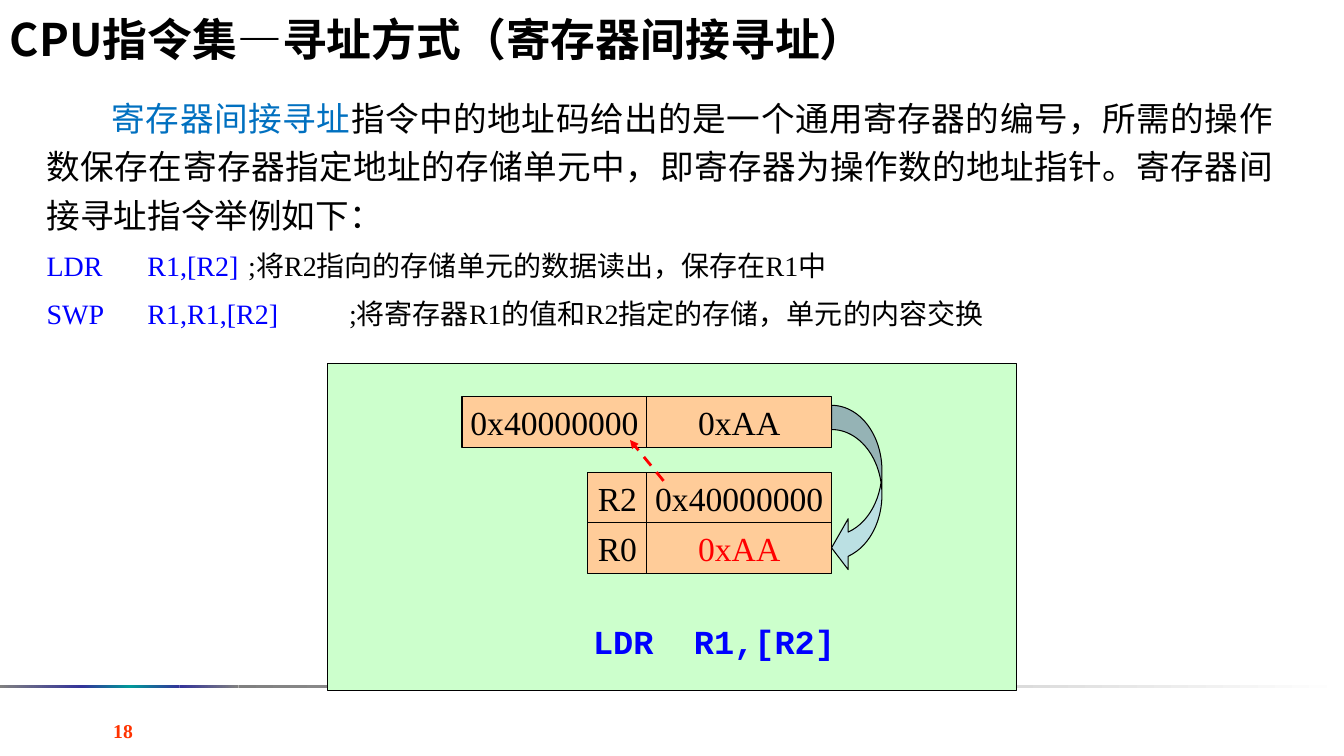
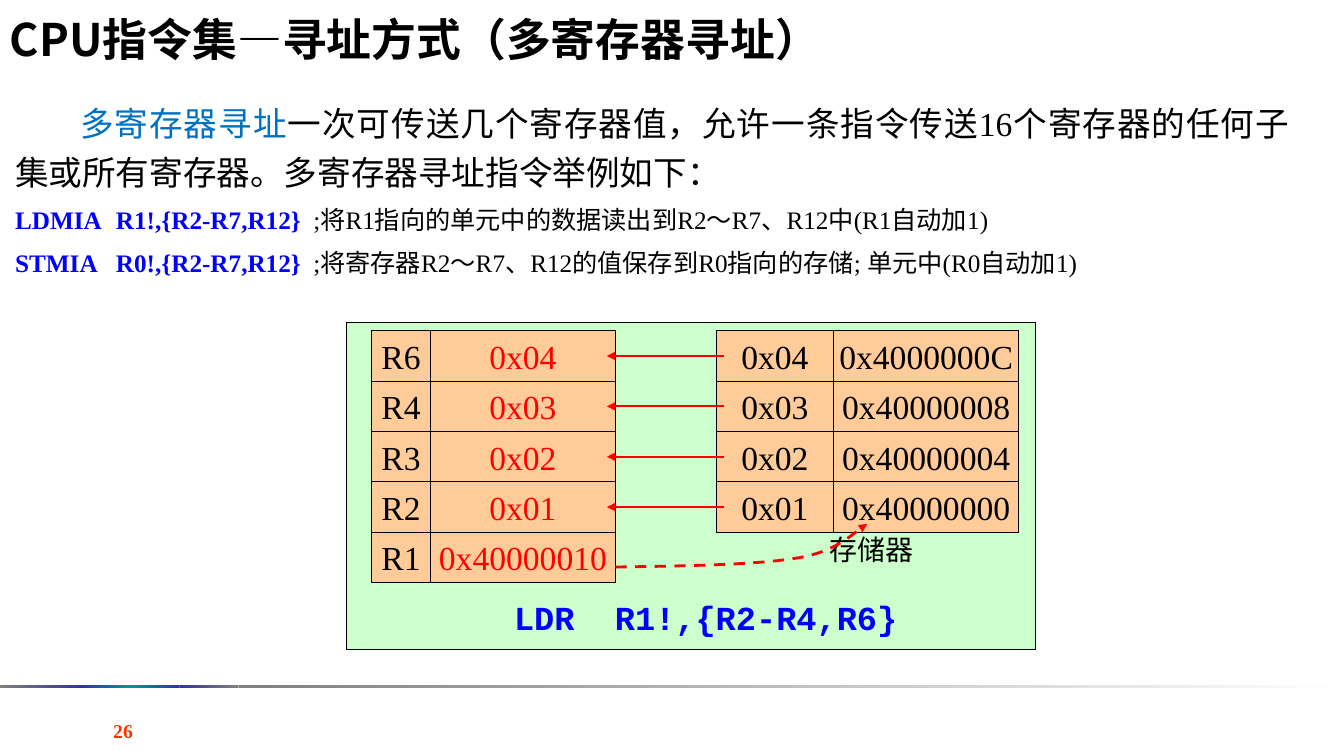
"""Build two slides on processor addressing modes."""
from lxml import etree
from pptx import Presentation
from pptx.dml.color import RGBColor
from pptx.enum.dml import MSO_LINE
from pptx.enum.shapes import MSO_CONNECTOR, MSO_SHAPE
from pptx.enum.text import MSO_ANCHOR, PP_ALIGN
from pptx.oxml.ns import qn
from pptx.util import Pt

PX = 9525
STRAIGHT = MSO_CONNECTOR.STRAIGHT
RECTANGLE = MSO_SHAPE.RECTANGLE
CURVED_ARROW = MSO_SHAPE.CURVED_LEFT_ARROW
DASH = MSO_LINE.DASH
MIDDLE = MSO_ANCHOR.MIDDLE
LEFT, CENTER, RIGHT, JUSTIFY = PP_ALIGN.LEFT, PP_ALIGN.CENTER, PP_ALIGN.RIGHT, PP_ALIGN.JUSTIFY
SERIF, MONO, SANS = "Times New Roman", "Courier New", "Noto Sans CJK SC"

BLACK = RGBColor(0x00, 0x00, 0x00)
WHITE = RGBColor(0xFF, 0xFF, 0xFF)
GRAY = RGBColor(0x80, 0x80, 0x80)
INDIGO = RGBColor(0x33, 0x33, 0x99)
TEAL = RGBColor(0x00, 0x99, 0x99)
TERM_BLUE = RGBColor(0x00, 0x70, 0xC0)
CODE_BLUE = RGBColor(0x00, 0x00, 0xFF)
RED = RGBColor(0xFF, 0x00, 0x00)
NUMBER_RED = RGBColor(0xFF, 0x33, 0x00)
PANEL_GREEN = RGBColor(0xCC, 0xFF, 0xCC)
CELL_ORANGE = RGBColor(0xFF, 0xCC, 0x99)
ARROW_BLUE = RGBColor(0xBB, 0xE0, 0xE3)

RULE_STOPS = [(0, GRAY), (78, INDIGO), (124, TEAL), (171, INDIGO), (227, GRAY), (1280, WHITE)]
ROW, NAME_W, VALUE_W, DATA_W = 48, 56, 176, 112
OPERAND_TAB = 96

PAGES = [
    {
        "number": "18",
        "title": "CPU指令集—寻址方式（寄存器间接寻址）",
        "body": (35, 81, 1187, 246),
        "term": "寄存器间接寻址",
        "intro": "指令中的地址码给出的是一个通用寄存器的编号，所需的操作数保存在寄存器指定地址的"
                 "存储单元中，即寄存器为操作数的地址指针。寄存器间接寻址指令举例如下：",
        "code_size": 20,
        "code_bold": False,
        "examples": [
            ("LDR\tR1,[R2]\t", ";将R2指向的存储单元的数据读出，保存在R1中", 192),
            ("SWP\tR1,R1,[R2]\t", ";将寄存器R1的值和R2指定的存储，单元的内容交换", 288),
        ],
        "panel": (312, 346),
        "cells": [
            (440, 378, VALUE_W, "0x40000000", BLACK),
            (616, 378, VALUE_W, "0xAA", BLACK),
            (560, 450, NAME_W, "R2", BLACK),
            (616, 450, VALUE_W, "0x40000000", BLACK),
            (560, 498, NAME_W, "R0", BLACK),
            (616, 498, VALUE_W, "0xAA", RED),
        ],
        "labels": [((512, 587, 336, ROW), "LDR  R1,[R2]", 24, CODE_BLUE, True)],
    },
    {
        "number": "26",
        "title": "CPU指令集—寻址方式（多寄存器寻址）",
        "body": (5, 86, 1232, 190),
        "term": "多寄存器寻址",
        "intro": "一次可传送几个寄存器值，允许一条指令传送16个寄存器的任何子集或所有寄存器。"
                 "多寄存器寻址指令举例如下：",
        "code_size": 18,
        "code_bold": True,
        "examples": [
            ("LDMIA\tR1!,{R2-R7,R12}\t", ";将R1指向的单元中的数据读出到R2～R7、R12中(R1自动加1)", 284),
            ("STMIA\tR0!,{R2-R7,R12}\t", ";将寄存器R2～R7、R12的值保存到R0指向的存储; 单元中(R0自动加1)", 284),
        ],
        "panel": (330, 307),
        "cells": [(354, 507, NAME_W, "R1", BLACK), (410, 507, VALUE_W, "0x40000010", RED)],
        "labels": [
            ((778, 499, 104, ROW), "存储器", 20, BLACK, False),
            ((464, 564, 416, ROW), "LDR  R1!,{R2-R4,R6}", 24, CODE_BLUE, True),
        ],
    },
]
MEMORY_ROWS = [
    ("R6", "0x04", "0x4000000C"),
    ("R4", "0x03", "0x40000008"),
    ("R3", "0x02", "0x40000004"),
    ("R2", "0x01", "0x40000000"),
]
for row, (register, data, address) in enumerate(MEMORY_ROWS):
    top = 315 + row * ROW
    PAGES[1]["cells"] += [
        (354, top, NAME_W, register, BLACK),
        (410, top, VALUE_W, data, RED),
        (682, top, DATA_W, data, BLACK),
        (794, top, VALUE_W, address, BLACK),
    ]


def write(shape, text, font, size, color, bold=False, align=CENTER, wrap=False):
    frame = shape.text_frame
    frame.word_wrap = wrap
    frame.vertical_anchor = MIDDLE
    paragraph = frame.paragraphs[0]
    paragraph.text = text
    paragraph.alignment = align
    paragraph.font.name = font
    paragraph.font.size = Pt(size)
    paragraph.font.bold = bold
    paragraph.font.color.rgb = color


def style_arrow(arrow, width, dashed):
    arrow.line.color.rgb = RED
    arrow.line.width = Pt(width)
    if dashed:
        arrow.line.dash_style = DASH
    properties = arrow.element.spPr
    etree.SubElement(properties.find(qn("a:ln")), qn("a:tailEnd"), type="triangle")
    if properties.find(qn("a:effectLst")) is None:
        etree.SubElement(properties, qn("a:effectLst"))


prs = Presentation()
prs.slide_width = 1280 * PX
prs.slide_height = 720 * PX
slides = []

for page in PAGES:
    slide = prs.slides.add_slide(prs.slide_layouts[6])
    slides.append(slide)
    shapes = slide.shapes

    for (start, start_color), (end, end_color) in zip(RULE_STOPS, RULE_STOPS[1:]):
        rule = shapes.add_shape(RECTANGLE, start * PX, 652 * PX, (end - start) * PX, 3 * PX)
        rule.shadow.inherit = False
        rule.line.fill.background()
        rule.fill.gradient()
        rule.fill.gradient_angle = 0
        for stop, color in zip(rule.fill.gradient_stops, (start_color, end_color)):
            stop.color.rgb = color

    body = shapes.add_textbox(*[n * PX for n in page["body"]]).text_frame
    body.word_wrap = True
    intro = [(page["term"], TERM_BLUE, False), (page["intro"], BLACK, False)]
    lines = [(24, 34.5, 0, intro, [])]
    size = page["code_size"]
    for code, remark, remark_tab in page["examples"]:
        parts = [(code, CODE_BLUE, page["code_bold"]), (remark, BLACK, False)]
        lines.append((size, size * 1.2, size / 2, parts, [OPERAND_TAB, remark_tab]))
    for index, (size, spacing, before, parts, tabs) in enumerate(lines):
        paragraph = body.add_paragraph() if index else body.paragraphs[0]
        paragraph.alignment = JUSTIFY
        paragraph.line_spacing = Pt(spacing)
        paragraph.space_before = Pt(before)
        if tabs:
            tab_list = etree.SubElement(paragraph._p.get_or_add_pPr(), qn("a:tabLst"))
            for tab in tabs:
                etree.SubElement(tab_list, qn("a:tab"), pos=str(tab * PX), algn="l")
        paragraph.font.name = SERIF
        paragraph.font.size = Pt(size)
        for text, color, bold in parts:
            run = paragraph.add_run()
            run.text = text
            run.font.color.rgb = color
            run.font.bold = bold
    body.paragraphs[0]._p.get_or_add_pPr().set("indent", str(62 * PX))

    left, top = page["panel"]
    panel = shapes.add_shape(RECTANGLE, left * PX, top * PX, 656 * PX, 312 * PX)
    boxes = [(panel, PANEL_GREEN)]
    for left, top, width, text, color in page["cells"]:
        cell = shapes.add_shape(RECTANGLE, left * PX, top * PX, width * PX, ROW * PX)
        write(cell, text, SERIF, 24, color)
        boxes.append((cell, CELL_ORANGE))
    for box, color in boxes:
        box.shadow.inherit = False
        box.fill.solid()
        box.fill.fore_color.rgb = color
        box.line.color.rgb = BLACK
        box.line.width = Pt(0.75)

    for place, text, size, color, bold in page["labels"]:
        label = shapes.add_textbox(*[n * PX for n in place])
        write(label, text, MONO, size, color, bold)

    number = shapes.add_textbox(0, 678 * PX, 136 * PX, 36 * PX)
    write(number, page["number"], SERIF, 14, NUMBER_RED, True, RIGHT, True)
    title = shapes.add_textbox(0, 2 * PX, 950 * PX, 70 * PX)
    write(title, page["title"], SANS, 32, BLACK, True, LEFT, True)

indirect, multiple = slides

pointer = indirect.shapes.add_connector(STRAIGHT, 632 * PX, 458 * PX, 600 * PX, 419 * PX)
style_arrow(pointer, 2, True)

load = indirect.shapes.add_shape(CURVED_ARROW, 792 * PX, 386 * PX, 48 * PX, 160 * PX)
load.shadow.inherit = False
load.fill.solid()
load.fill.fore_color.rgb = ARROW_BLUE
load.line.color.rgb = BLACK
load.line.width = Pt(0.75)
for index, value in enumerate((0.48, 1.01, 0.33)):
    load.adjustments[index] = value

for row in range(len(MEMORY_ROWS)):
    middle = (339 + row * ROW) * PX
    transfer = multiple.shapes.add_connector(STRAIGHT, 690 * PX, middle, 578 * PX, middle)
    style_arrow(transfer, 1.5, False)

CURVES = [
    ((586, 540), (654, 539), (722, 538), (762, 531)),
    ((762, 531), (802, 524), (818, 502), (826, 499)),
]
points = []
for curve in CURVES:
    for step in range(1, 13):
        t = step / 12
        weights = ((1 - t) ** 3, 3 * t * (1 - t) ** 2, 3 * t * t * (1 - t), t ** 3)
        points.append([round(PX * sum(w * p[axis] for w, p in zip(weights, curve))) for axis in (0, 1)])
outline = multiple.shapes.build_freeform(586 * PX, 540 * PX)
outline.add_line_segments(points, close=False)
address_path = outline.convert_to_shape()
address_path.shadow.inherit = False
address_path.fill.background()
style_arrow(address_path, 2, True)

prs.save("out.pptx")
